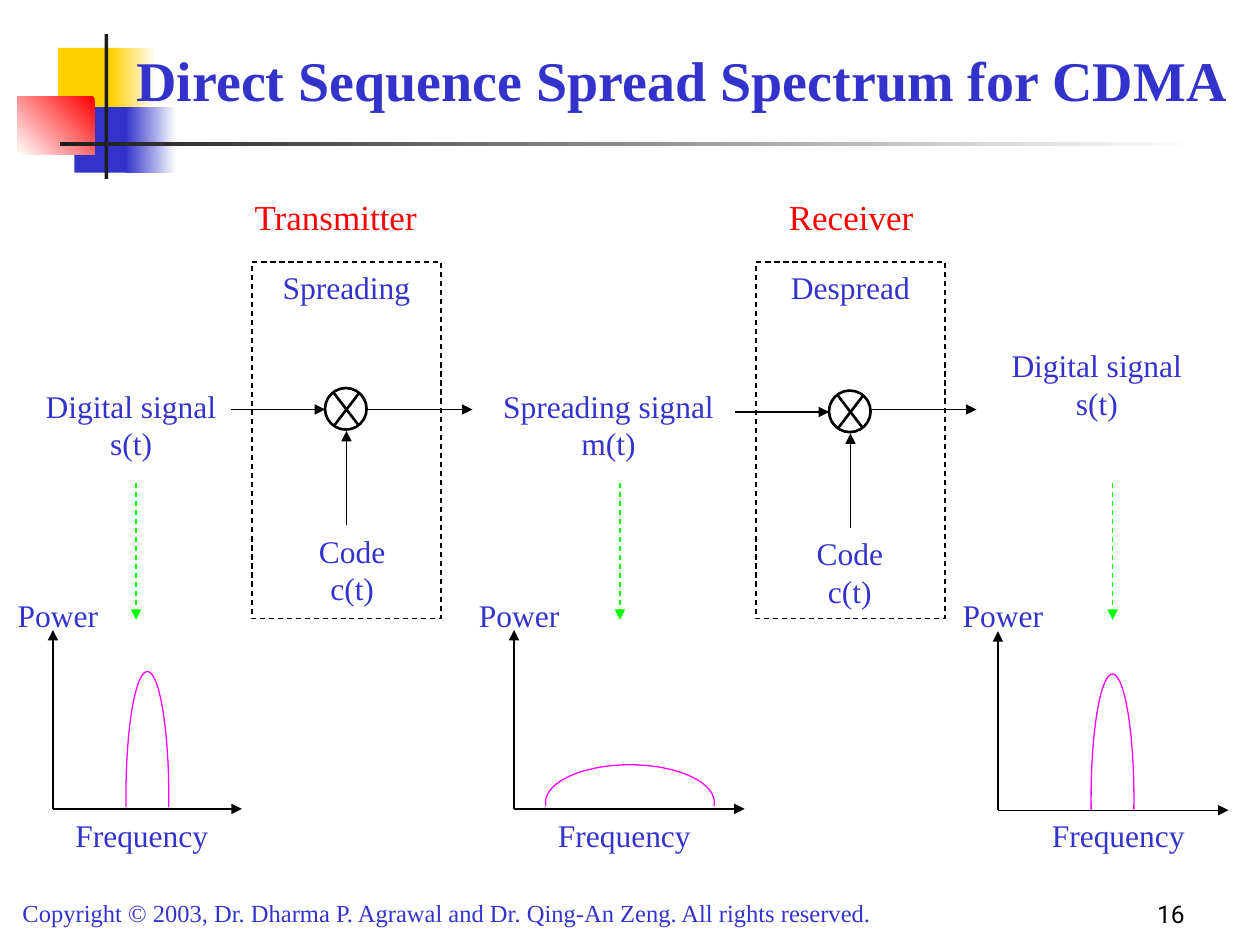
from dataclasses import dataclass
from math import cos, radians, sin
from lxml.etree import SubElement
from pptx import Presentation
from pptx.dml.color import RGBColor
from pptx.enum.dml import MSO_LINE as Dash
from pptx.enum.shapes import MSO_CONNECTOR as Link, MSO_SHAPE as Form
from pptx.enum.text import MSO_ANCHOR as Anchor, PP_ALIGN as Align
from pptx.oxml.ns import qn
from pptx.util import Inches, Pt


@dataclass(frozen=True)
class Theme:
    blue: str = "3333CC"
    red: str = "FF0000"
    gold: str = "FFCF01"
    dark: str = "1C1C1C"
    black: str = "000000"
    white: str = "FFFFFF"
    green: str = "00FF00"
    pink: str = "FF00FF"
    serif: str = "Times New Roman"
    sans: str = "Roboto"
    title: int = 32
    head: int = 20
    body: int = 18
    small: int = 14
    thin: float = 0.75
    thick: float = 1.5


T = Theme()


def rgb(code):
    return RGBColor.from_string(code)


def pen(item, color, width, dash=None):
    item.line.color.rgb = rgb(color)
    item.line.width = Pt(width)
    if dash:
        item.line.dash_style = dash


def add_text(slide, box, text, size=T.body, color=T.blue, align=Align.CENTER,
             font=T.serif, bold=False, anchor=Anchor.TOP):
    frame = slide.shapes.add_textbox(*map(Inches, box)).text_frame
    frame.word_wrap = True
    frame.vertical_anchor = anchor
    para = frame.paragraphs[0]
    para.text = text
    para.alignment = align
    for run in para.runs:
        run.font.size = Pt(size)
        run.font.name = font
        run.font.bold = bold
        run.font.color.rgb = rgb(color)


def add_form(shapes, form, box):
    item = shapes.add_shape(form, *map(Inches, box))
    item.shadow.inherit = False
    item.fill.background()
    return item


def add_block(slide, box, color, fade=None, angle=180):
    item = add_form(slide.shapes, Form.RECTANGLE, box)
    item.line.fill.background()
    if fade:
        item.fill.gradient()
        item.fill.gradient_angle = angle
        for stop, code, place in zip(item.fill.gradient_stops, (color, fade), (0, 1)):
            stop.color.rgb = rgb(code)
            stop.position = place
    else:
        item.fill.solid()
        item.fill.fore_color.rgb = rgb(color)


def add_line(shapes, start, end, color=T.black, width=T.thin, dash=None, arrow=True):
    item = shapes.add_connector(Link.STRAIGHT, *map(Inches, (*start, *end)))
    pen(item, color, width, dash)
    if arrow:
        SubElement(item.line._get_or_add_ln(), qn("a:tailEnd"), type="triangle")
    SubElement(item._element.spPr, qn("a:effectLst"))


def add_mixer(slide, x, y):
    group = slide.shapes.add_group_shape().shapes
    ring = add_form(group, Form.OVAL, (x - 0.17, y - 0.17, 0.33, 0.33))
    pen(ring, T.black, T.thick)
    for side in (-0.1, 0.1):
        add_line(group, (x + side, y - 0.13), (x - side, y + 0.13),
                 width=T.thick, arrow=False)


def add_stage(slide, x, y, head, name, left, width):
    mid = x + 0.75
    pen(add_form(slide.shapes, Form.RECTANGLE, (x, 2.08, 1.5, 2.83)),
        T.black, T.thin, Dash.DASH)
    add_text(slide, (mid - 0.83, 1.5, 1.67, 0.44) if x > 4 else (1.83, 1.5, 1.67, 0.44),
             head, T.head, T.red)
    add_text(slide, (x, 2.08, 1.5, 0.4), name)
    add_mixer(slide, mid, y)
    add_line(slide.shapes, (x - 0.17, y), (mid - 0.17, y))
    add_line(slide.shapes, (mid + 0.17, 3.25), (x + 1.75, 3.25))
    add_line(slide.shapes, (mid, y + 0.92), (mid, y + 0.17))
    add_text(slide, (left, y + 0.92, width, 0.7), "Code c(t)")


def add_arc(slide, x, y, wide, high):
    points = [(Inches(x - wide * cos(radians(a))), Inches(y - high * sin(radians(a))))
              for a in range(-5, 186, 5)]
    path = slide.shapes.build_freeform(*points[0])
    path.add_line_segments(points[1:], close=False)
    item = path.convert_to_shape()
    item.shadow.inherit = False
    item.fill.background()
    pen(item, T.pink, T.thin)


def add_plot(slide, x, y, length, label, drop, arc):
    add_line(slide.shapes, (x, y), (x + length, y))
    add_line(slide.shapes, (x, y), (x, y - 1.42))
    add_text(slide, (x - 0.42, 4.68, 0.92, 0.4), "Power")
    add_text(slide, (label, 6.43, 1.33, 0.4), "Frequency", align=Align.LEFT)
    add_line(slide.shapes, (drop, 3.83), (drop, 4.92), T.green, dash=Dash.DASH)
    add_arc(slide, *arc)


def add_frame(slide):
    add_block(slide, (0.46, 0.38, 0.48, 0.52), T.gold)
    add_block(slide, (0.88, 0.38, 0.36, 0.52), T.white, T.gold)
    add_block(slide, (0.59, 0.85, 0.46, 0.52), T.blue)
    add_block(slide, (1, 0.85, 0.4, 0.52), T.white, T.blue)
    add_block(slide, (0.14, 0.77, 0.61, 0.46), T.red, T.white, 225)
    add_block(slide, (0.83, 0.27, 0.03, 1.15), T.dark)
    add_block(slide, (0.48, 1.13, 9, 0.03), T.white, T.dark)
    add_text(slide, (0.83, 0.17, 9.17, 0.92), "Direct Sequence Spread Spectrum for CDMA",
             T.title, bold=True, anchor=Anchor.MIDDLE)
    add_text(slide, (0.08, 7.08, 7.58, 0.34),
             "Copyright © 2003, Dr. Dharma P. Agrawal and Dr. Qing-An Zeng. "
             "All rights reserved.", T.small, align=Align.LEFT)
    add_text(slide, (7.42, 6.92, 2.08, 0.5), "16", T.small, T.black, Align.RIGHT,
             T.sans, anchor=Anchor.BOTTOM)


def main():
    deck = Presentation()
    deck.slide_width, deck.slide_height = Inches(10), Inches(7.5)
    slide = deck.slides.add_slide(deck.slide_layouts[6])
    add_frame(slide)
    add_stage(slide, 2, 3.25, "Transmitter", "Spreading", 2.42, 0.75)
    add_stage(slide, 6, 3.27, "Receiver", "Despread", 6.33, 0.83)
    for x, y, width, text in (
        (0.25, 3.02, 1.58, "Digital signal s(t)"),
        (3.83, 3.02, 2, "Spreading signal m(t)"),
        (7.83, 2.7, 1.75, "Digital signal s(t)"),
    ):
        add_text(slide, (x, y, width, 0.7), text)
    add_plot(slide, 0.42, 6.42, 1.5, 0.5, 1.08, (1.17, 6.32, 0.17, 0.99))
    add_plot(slide, 4.08, 6.42, 1.83, 4.33, 4.92, (5, 6.37, 0.67, 0.3))
    add_plot(slide, 7.92, 6.43, 1.83, 8.25, 8.83, (8.83, 6.34, 0.17, 0.99))
    deck.save("out.pptx")


if __name__ == "__main__":
    main()
